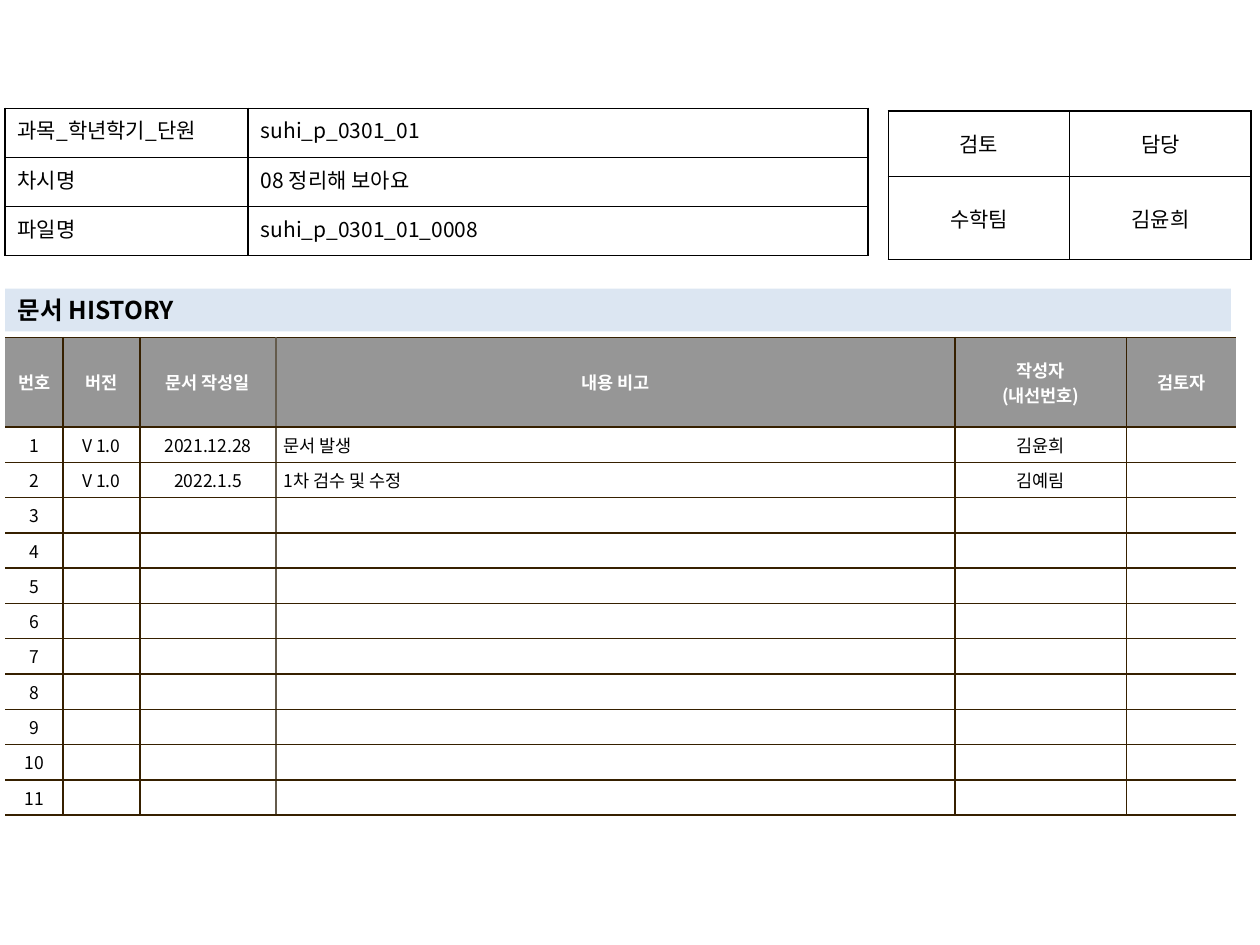
from lxml.etree import SubElement
from pptx import Presentation
from pptx.dml.color import RGBColor
from pptx.enum.text import MSO_ANCHOR as Anchor, MSO_AUTO_SIZE as AutoSize, PP_ALIGN as Align
from pptx.oxml.ns import qn
from pptx.util import Inches, Pt

FONT = "Noto Sans CJK KR"
BLACK = RGBColor(0x00, 0x00, 0x00)
WHITE = RGBColor(0xFF, 0xFF, 0xFF)
GRAY = RGBColor(0x96, 0x96, 0x96)
PALE_BLUE = RGBColor(0xDC, 0xE6, 0xF2)
BROWN = RGBColor(0x36, 0x20, 0x00)
TAUPE = RGBColor(0x64, 0x5B, 0x4C)


class FormPage:
    """Holds the font and the current slide, and draws its parts."""

    def __init__(self, deck, font):
        self.page = deck.slides.add_slide(deck.slide_layouts[5])
        self.font = font

    def fill_para(self, para, text, align, **formats):
        para.alignment = align
        if not text:
            # An empty cell keeps the text size, so its row stays low
            SubElement(para._p, qn("a:endParaRPr"), sz=str(int(formats["size"].pt * 100)))
            return
        span = para.add_run()
        span.text = text
        color = formats.pop("color")
        for name, value in {"name": self.font, **formats}.items():
            setattr(span.font, name, value)
        span.font.color.rgb = color
        SubElement(span._r.get_or_add_rPr(), qn("a:ea"), typeface=self.font)

    def title(self, text, left, top, width, height, fill):
        box = self.page.shapes.title
        place = {"left": left, "top": top, "width": width, "height": height}
        for name, value in place.items():
            setattr(box, name, Inches(value))
        box.fill.solid()
        box.fill.fore_color.rgb = fill
        frame = box.text_frame
        frame.auto_size = AutoSize.NONE
        frame.vertical_anchor = Anchor.MIDDLE
        self.fill_para(frame.paragraphs[0], text, Align.LEFT,
                       size=Pt(14), bold=True, color=BLACK)

    def table(self, left, top, widths, heights):
        frame = self.page.shapes.add_table(
            len(heights), len(widths), Inches(left), Inches(top),
            Inches(sum(widths)), Inches(sum(heights)))
        table = frame.table
        table.first_row = table.horz_banding = False
        for column, width in zip(table.columns, widths):
            column.width = Inches(width)
        for row, height in zip(table.rows, heights):
            row.height = Inches(height)
        return table

    def cell(self, cell, text, align, borders, anchor=Anchor.TOP, fill=None,
             margins=(0.1, 0.05), **formats):
        across, down = (Inches(margin) for margin in margins)
        settings = {"margin_left": across, "margin_right": across, "margin_top": down,
                    "margin_bottom": down, "vertical_anchor": anchor}
        for name, value in settings.items():
            setattr(cell, name, value)
        self.borders(cell, borders)
        if fill is None:
            cell.fill.background()
        else:
            cell.fill.solid()
            cell.fill.fore_color.rgb = fill
        frame = cell.text_frame
        for index, line in enumerate(text.split("\n")):
            para = frame.add_paragraph() if index else frame.paragraphs[0]
            self.fill_para(para, line, align, **formats)

    def borders(self, cell, colors):
        """Colors run left, right, top, bottom; None leaves a side open."""
        properties = cell._tc.get_or_add_tcPr()
        for side, color in zip("LRTB", colors):
            line = SubElement(properties, qn(f"a:ln{side}"), w=str(int(Pt(1))))
            if color is None:
                SubElement(line, qn("a:noFill"))
            else:
                SubElement(SubElement(line, qn("a:solidFill")), qn("a:srgbClr"), val=str(color))

    def plain_table(self, left, top, widths, heights, rows, aligns, anchor):
        table = self.table(left, top, widths, heights)
        for r, row in enumerate(rows):
            for c, text in enumerate(row):
                self.cell(table.cell(r, c), text, aligns[c], [BLACK] * 4, anchor,
                          size=Pt(12), color=BLACK)

    def history_table(self, left, top, widths, heights, rows):
        table = self.table(left, top, widths, heights)
        # Vertical rules: open at both ends, lighter before the remarks
        rules = [None, BROWN, BROWN, TAUPE, BROWN, BROWN, None]
        for r, row in enumerate(rows):
            header = r == 0
            for c, text in enumerate(row):
                align = Align.LEFT if c == 3 and not header else Align.CENTER
                self.cell(table.cell(r, c), text, align,
                          [rules[c], rules[c + 1], BROWN, BROWN], Anchor.MIDDLE,
                          GRAY if header else WHITE, (0.06, 0.04),
                          size=Pt(10), bold=header, color=WHITE if header else BLACK)


def main():
    deck = Presentation()
    deck.slide_width, deck.slide_height = Inches(10), Inches(7.5)
    form = FormPage(deck, FONT)

    # Revision history
    header = ["번호", "버전", "문서 작성일", "내용 비고", "작성자\n(내선번호)", "검토자"]
    entries = [
        ["V 1.0", "2021.12.28", "문서 발생", "김윤희", ""],
        ["V 1.0", "2022.1.5", "1차 검수 및 수정", "김예림", ""],
    ]
    entries += [[""] * 5] * (11 - len(entries))
    rows = [header] + [[str(number), *entry] for number, entry in enumerate(entries, 1)]
    form.history_table(0.04, 2.68, [0.46, 0.61, 1.08, 5.39, 1.36, 0.87],
                       [0.71] + [0.25] * 11, rows)

    # Review and owner
    form.plain_table(7.05, 0.88, [1.44, 1.44], [0.52, 0.66],
                     [["검토", "담당"], ["수학팀", "김윤희"]],
                     [Align.CENTER] * 2, Anchor.MIDDLE)

    # Section title
    form.title("문서 HISTORY", 0.04, 2.29, 9.73, 0.34, PALE_BLUE)

    # Document details
    details = [
        ["과목_학년학기_단원", "suhi_p_0301_01"],
        ["차시명", "08 정리해 보아요"],
        ["파일명", "suhi_p_0301_01_0008"],
    ]
    form.plain_table(0.04, 0.86, [1.93, 4.92], [0.39] * 3, details,
                     [Align.JUSTIFY, Align.LEFT], Anchor.TOP)

    deck.save("out.pptx")


if __name__ == "__main__":
    main()
